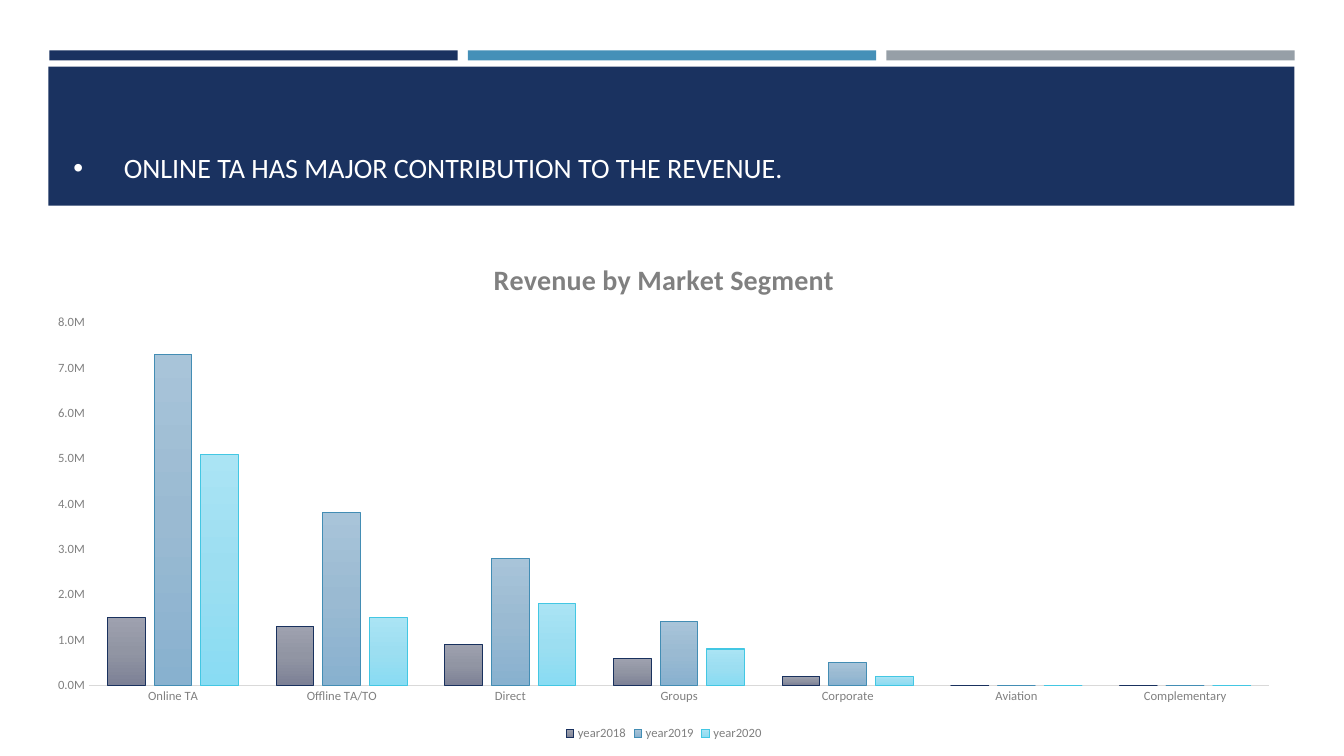
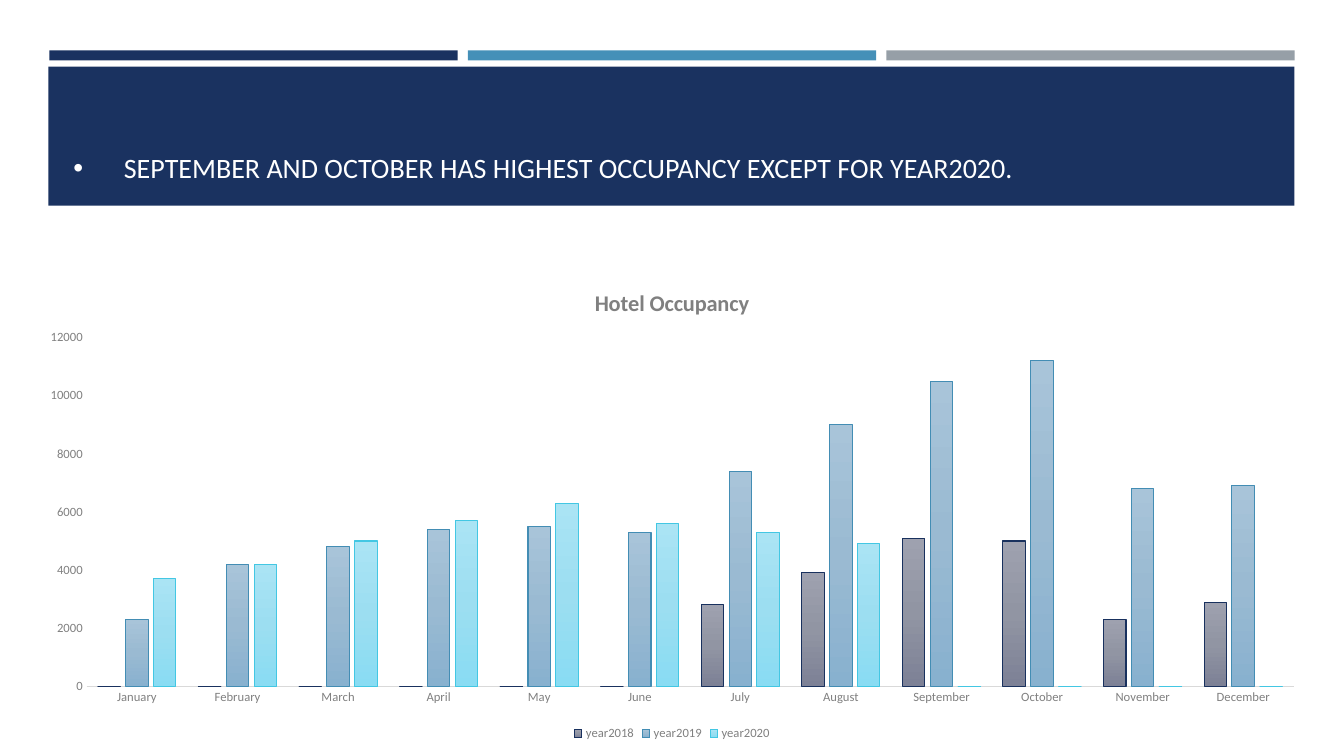
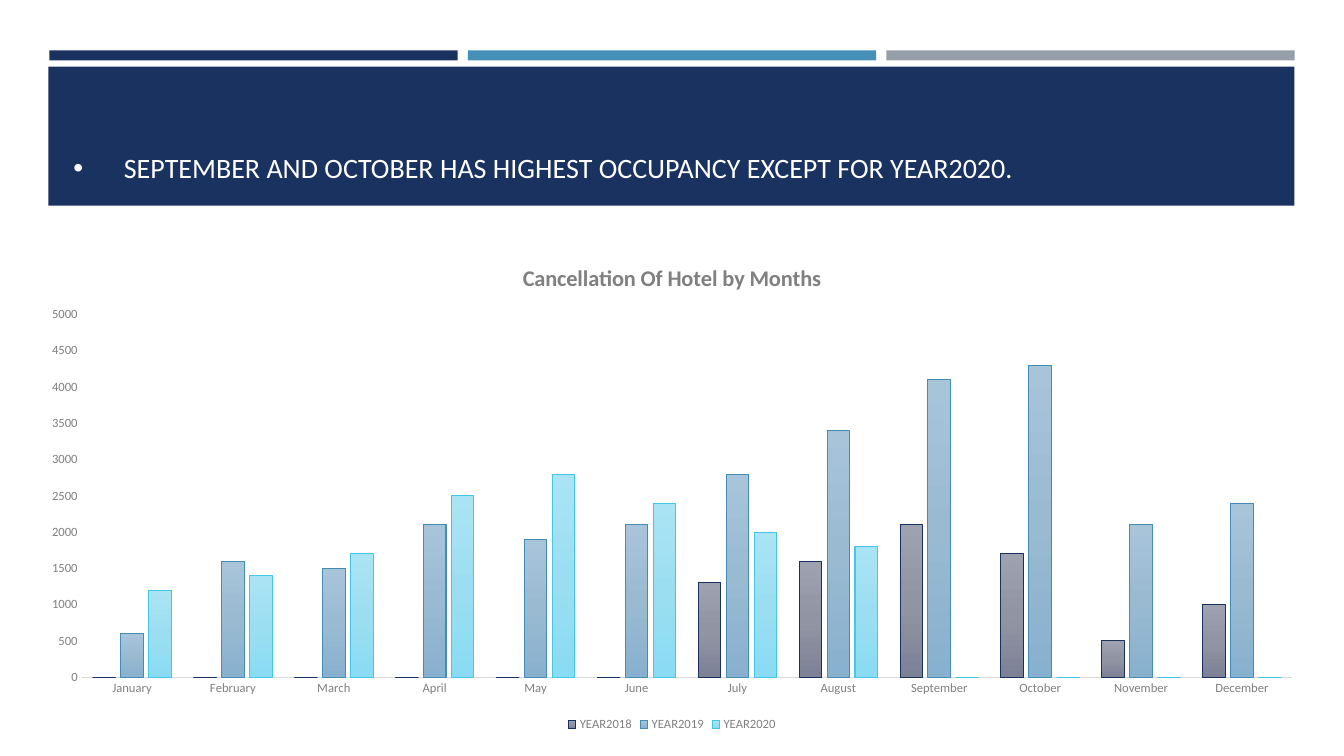
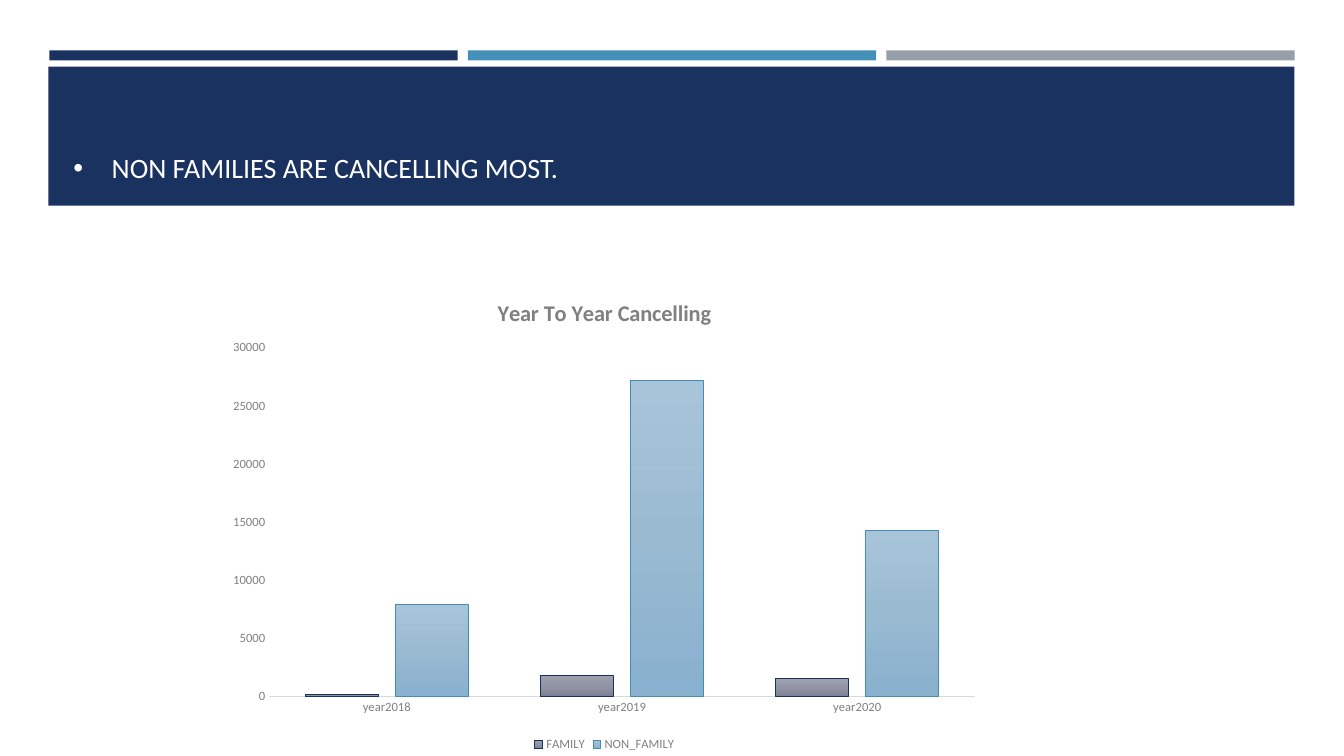
from dataclasses import dataclass

from pptx import Presentation
from pptx.chart.data import CategoryChartData
from pptx.dml.color import RGBColor
from pptx.enum.chart import XL_CHART_TYPE as ChartType
from pptx.enum.chart import XL_LEGEND_POSITION as LegendPosition
from pptx.enum.chart import XL_TICK_MARK as TickMark
from pptx.enum.shapes import MSO_SHAPE as ShapeKind
from pptx.enum.text import MSO_ANCHOR as Anchor
from pptx.oxml import parse_xml
from pptx.oxml.ns import nsdecls
from pptx.util import Inches, Pt

# Shared look
FONT = "Calibri"
NAVY, BLUE, SILVER = "1A3260", "4590B8", "969FA7"
WHITE, BLACK, GRAY, AXIS_GRAY = "FFFFFF", "000000", "808080", "D9D9D9"
BAR_LEFT, BAR_TOP, BAR_WIDTH, BAR_GAP = 0.49, 0.5, 4.05, 0.1
MONTHS = ("January", "February", "March", "April", "May", "June", "July",
          "August", "September", "October", "November", "December")


@dataclass(frozen=True)
class Box:
    left: float
    top: float
    width: float
    height: float

    def inches(self) -> tuple:
        return tuple(Inches(n) for n in (self.left, self.top, self.width, self.height))


@dataclass(frozen=True)
class SeriesStyle:
    stops: tuple[str, str, str]
    line: str


@dataclass(frozen=True)
class ColumnPage:
    headline: str
    chart_title: str
    box: Box
    plot: Box
    categories: tuple[str, ...]
    series: dict[str, tuple[int, ...]]
    indent: float = 0.5
    title_size: int = 16
    number_format: str = "General"


HEADLINE_BAND = Box(0.48, 0.66, 12.36, 1.38)
HEADLINE_BOX = Box(0.63, 0.8, 12.06, 1.08)
SERIES_STYLES = (
    SeriesStyle(("9EA1AF", "9195A3", "7D8196"), "19315E"),
    SeriesStyle(("A8C4D9", "9ABAD2", "88B1CF"), "438DB4"),
    SeriesStyle(("AAE4F4", "9CDEF1", "89DCF3"), "43C7E3"),
)

# Page content
PAGES = (
    ColumnPage(
        "ONLINE TA HAS MAJOR CONTRIBUTION TO THE REVENUE.",
        "Revenue by Market Segment",
        Box(0.33, 2.37, 12.51, 5.02), Box(0.88, 3.2, 11.71, 3.6),
        ("Online TA", "Offline TA/TO", "Direct", "Groups", "Corporate",
         "Aviation", "Complementary"),
        {"year2018": (1500000, 1300000, 900000, 600000, 200000, 0, 0),
         "year2019": (7300000, 3800000, 2800000, 1400000, 500000, 0, 0),
         "year2020": (5100000, 1500000, 1800000, 800000, 200000, 0, 0)},
        title_size=20, number_format='0.0,,"M"'),
    ColumnPage(
        "SEPTEMBER AND OCTOBER HAS HIGHEST OCCUPANCY EXCEPT FOR YEAR2020.",
        "Hotel Occupancy",
        Box(0.25, 2.67, 12.83, 4.72), Box(0.86, 3.35, 11.97, 3.46),
        MONTHS,
        {"year2018": (0, 0, 0, 0, 0, 0, 2800, 3900, 5100, 5000, 2300, 2900),
         "year2019": (2300, 4200, 4800, 5400, 5500, 5300, 7400, 9000, 10500, 11200, 6800, 6900),
         "year2020": (3700, 4200, 5000, 5700, 6300, 5600, 5300, 4900, 0, 0, 0, 0)}),
    ColumnPage(
        "SEPTEMBER AND OCTOBER HAS HIGHEST OCCUPANCY EXCEPT FOR YEAR2020.",
        "Cancellation Of Hotel by Months",
        Box(0.26, 2.42, 12.81, 4.88), Box(0.81, 3.12, 12.01, 3.6),
        MONTHS,
        {"YEAR2018": (0, 0, 0, 0, 0, 0, 1300, 1600, 2100, 1700, 500, 1000),
         "YEAR2019": (600, 1600, 1500, 2100, 1900, 2100, 2800, 3400, 4100, 4300, 2100, 2400),
         "YEAR2020": (1200, 1400, 1700, 2500, 2800, 2400, 2000, 1800, 0, 0, 0, 0)}),
    ColumnPage(
        "NON FAMILIES ARE CANCELLING MOST.",
        "Year To Year Cancelling",
        Box(2.16, 2.77, 7.67, 4.73), Box(2.67, 3.45, 7.0, 3.46),
        ("year2018", "year2019", "year2020"),
        {"FAMILY": (200, 1800, 1500), "NON_FAMILY": (7900, 27200, 14300)},
        indent=0.38),
)


# Text and shapes
def rgb(color: str) -> RGBColor:
    return RGBColor.from_string(color)


def style_font(font, *, size: float, color: str, bold: bool = False) -> None:
    font.name, font.size, font.bold = FONT, Pt(size), bold
    font.color.rgb = rgb(color)


def add_text(frame, text: str, *, size: float, color: str, bold: bool = False,
             bullet_indent: float = 0) -> None:
    para = frame.paragraphs[0]
    span = para.add_run()
    span.text = text
    style_font(span.font, size=size, color=color, bold=bold)
    if bullet_indent:
        properties = para._p.get_or_add_pPr()
        properties.set("marL", str(Inches(bullet_indent)))
        properties.set("indent", str(-Inches(bullet_indent)))
        properties.append(parse_xml(f'<a:buFont {nsdecls("a")} typeface="Arial"/>'))
        properties.append(parse_xml(f'<a:buChar {nsdecls("a")} char="•"/>'))


def add_band(page, box: Box, color: str) -> None:
    band = page.shapes.add_shape(ShapeKind.RECTANGLE, *box.inches())
    band.shadow.inherit = False
    band.fill.solid()
    band.fill.fore_color.rgb = rgb(color)
    band.line.fill.background()


def add_header(page, headline: str, indent: float) -> None:
    for index, color in enumerate((NAVY, BLUE, SILVER)):
        left = BAR_LEFT + index * (BAR_WIDTH + BAR_GAP)
        add_band(page, Box(left, BAR_TOP, BAR_WIDTH, 0.1), color)
    add_band(page, HEADLINE_BAND, NAVY)
    frame = page.shapes.add_textbox(*HEADLINE_BOX.inches()).text_frame
    frame.word_wrap = True
    frame.vertical_anchor = Anchor.BOTTOM
    add_text(frame, headline, size=20, color=WHITE, bullet_indent=indent)


# Charts
def style_series(series, style: SeriesStyle) -> None:
    stops = "".join(f'<a:gs pos="{index * 50000}"><a:srgbClr val="{color}"/></a:gs>'
                    for index, color in enumerate(style.stops))
    gradient = parse_xml(f'<a:gradFill {nsdecls("a")}><a:gsLst>{stops}</a:gsLst>'
                         '<a:lin ang="5400000" scaled="0"/></a:gradFill>')
    series.invert_if_negative = False
    series._element.get_or_add_spPr().insert(0, gradient)
    series.format.line.color.rgb = rgb(style.line)
    series.format.line.width = Pt(0.75)


def place_plot(chart, box: Box, plot: Box) -> None:
    """Fix the inner plot area, given in slide inches."""
    fractions = {"x": (plot.left - box.left) / box.width,
                 "y": (plot.top - box.top) / box.height,
                 "w": plot.width / box.width,
                 "h": plot.height / box.height}
    modes = "".join(f'<c:{key}Mode val="edge"/>' for key in "xy")
    values = "".join(f'<c:{key} val="{value:.4f}"/>' for key, value in fractions.items())
    layout = parse_xml(f'<c:layout {nsdecls("c")}><c:manualLayout>'
                       f'<c:layoutTarget val="inner"/>{modes}{values}'
                       '</c:manualLayout></c:layout>')
    area = chart._chartSpace.chart.plotArea
    for old in area.findall(layout.tag):
        area.remove(old)
    area.insert(0, layout)


def style_axes(chart) -> None:
    for axis in (chart.category_axis, chart.value_axis):
        axis.has_major_gridlines = False
        axis.major_tick_mark = axis.minor_tick_mark = TickMark.NONE
        style_font(axis.tick_labels.font, size=9, color=GRAY)
    category_line = chart.category_axis.format.line
    category_line.color.rgb = rgb(AXIS_GRAY)
    category_line.width = Pt(0.75)
    chart.value_axis.format.line.fill.background()


def add_column_chart(page, content: ColumnPage) -> None:
    data = CategoryChartData(number_format=content.number_format)
    data.categories = content.categories
    for name, values in content.series.items():
        data.add_series(name, values)
    chart = page.shapes.add_chart(ChartType.COLUMN_CLUSTERED,
                                  *content.box.inches(), data).chart
    style_font(chart.font, size=10, color=BLACK)
    chart.has_title = True
    add_text(chart.chart_title.text_frame, content.chart_title,
             size=content.title_size, color=GRAY, bold=True)
    chart.has_legend = True
    chart.legend.position = LegendPosition.BOTTOM
    chart.legend.include_in_layout = False
    style_font(chart.legend.font, size=9, color=GRAY)

    columns = chart.plots[0]
    columns.vary_by_categories = False
    columns.gap_width, columns.overlap = 100, -24
    for series, style in zip(columns.series, SERIES_STYLES):
        style_series(series, style)
    style_axes(chart)
    labels = chart.value_axis.tick_labels
    labels.number_format = content.number_format
    labels.number_format_is_linked = False
    place_plot(chart, content.box, content.plot)


def main() -> None:
    deck = Presentation()
    deck.slide_width, deck.slide_height = Inches(13.33), Inches(7.5)
    blank = deck.slide_layouts[6]
    for content in PAGES:
        page = deck.slides.add_slide(blank)
        add_header(page, content.headline, content.indent)
        add_column_chart(page, content)
    deck.save("out.pptx")


if __name__ == "__main__":
    main()
